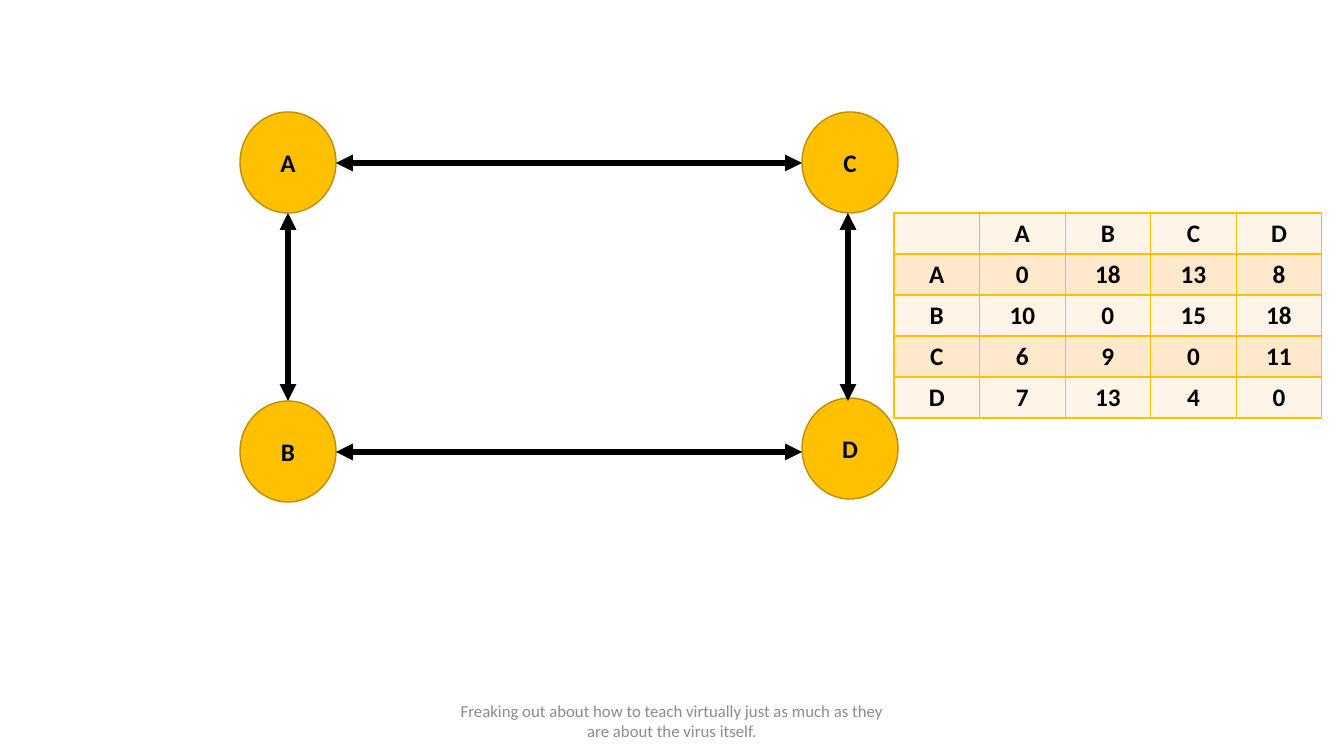
from dataclasses import dataclass

from lxml import etree
from pptx import Presentation
from pptx.dml.color import RGBColor
from pptx.enum.shapes import MSO_CONNECTOR, MSO_SHAPE
from pptx.enum.text import MSO_ANCHOR, PP_ALIGN
from pptx.oxml.ns import qn
from pptx.util import Pt

OVAL = MSO_SHAPE.OVAL
STRAIGHT = MSO_CONNECTOR.STRAIGHT
MIDDLE = MSO_ANCHOR.MIDDLE
CENTER = PP_ALIGN.CENTER

NODES = {"B": (240, 401), "C": (802, 112), "A": (240, 112), "D": (802, 398)}
NODE_SIZE = (96, 101)
LINKS = [
    ((336, 163), (802, 163)),
    ((336, 452), (802, 452)),
    ((288, 213), (288, 401)),
    ((848, 213), (848, 401)),
]
COSTS = [
    ["", "A", "B", "C", "D"],
    ["A", "0", "18", "13", "8"],
    ["B", "10", "0", "15", "18"],
    ["C", "6", "9", "0", "11"],
    ["D", "7", "13", "4", "0"],
]
COSTS_AT = (894, 213)
COSTS_WIDTH = 428
ROW_HEIGHT = 41
FOOTER = "Freaking out about how to teach virtually just as much as they are about the virus itself."
FOOTER_BOX = (445, 701, 454, 40)
SLIDE_SIZE = (1344, 756)


@dataclass(frozen=True)
class Theme:
    font: str = "Calibri"
    ink: str = "000000"
    muted: str = "8C8C8C"
    gold: str = "FFC000"
    gold_edge: str = "BD8E00"
    bands: tuple = ("FFF4E7", "FFE8CC")
    label_size: int = 18
    footer_size: int = 12
    edge_width: int = 1
    link_width: int = 4


THEME = Theme()
LABEL = {"name": THEME.font, "size": Pt(THEME.label_size), "bold": True}
SMALL = {"name": THEME.font, "size": Pt(THEME.footer_size), "bold": False}


def px(value):
    return round(value * 914400 / 100.8)


def paint(fill, color):
    fill.solid()
    fill.fore_color.rgb = RGBColor.from_string(color)


def write(frame, words, style, color):
    frame.word_wrap = True
    frame.vertical_anchor = MIDDLE
    line = frame.paragraphs[0]
    line.alignment = CENTER
    run = line.add_run()
    run.text = words
    for key, value in style.items():
        setattr(run.font, key, value)
    run.font.color.rgb = RGBColor.from_string(color)


def add_node(slide, name, corner):
    node = slide.shapes.add_shape(OVAL, *map(px, corner + NODE_SIZE))
    node.shadow.inherit = False
    paint(node.fill, THEME.gold)
    paint(node.line.fill, THEME.gold_edge)
    node.line.width = Pt(THEME.edge_width)
    write(node.text_frame, name, LABEL, THEME.ink)


def add_link(slide, start, end):
    link = slide.shapes.add_connector(STRAIGHT, *map(px, start + end))
    paint(link.line.fill, THEME.ink)
    link.line.width = Pt(THEME.link_width)
    outline = link.line._get_or_add_ln()
    for tip in ("a:headEnd", "a:tailEnd"):
        etree.SubElement(outline, qn(tip), type="triangle")
    etree.SubElement(link._element.spPr, qn("a:effectLst"))


def add_borders(cell):
    properties = cell._tc.get_or_add_tcPr()
    for index, side in enumerate(("a:lnL", "a:lnR", "a:lnT", "a:lnB")):
        border = etree.Element(qn(side), w=str(Pt(THEME.edge_width)))
        solid = etree.SubElement(border, qn("a:solidFill"))
        etree.SubElement(solid, qn("a:srgbClr"), val=THEME.gold)
        properties.insert(index, border)


def add_costs(slide):
    rows, columns = len(COSTS), len(COSTS[0])
    box = COSTS_AT + (COSTS_WIDTH, ROW_HEIGHT * rows)
    costs = slide.shapes.add_table(rows, columns, *map(px, box)).table
    for row, values in enumerate(COSTS):
        for column, value in enumerate(values):
            cell = costs.cell(row, column)
            paint(cell.fill, THEME.bands[row % 2])
            add_borders(cell)
            if value:
                write(cell.text_frame, value, LABEL, THEME.ink)


def main():
    deck = Presentation()
    deck.slide_width, deck.slide_height = map(px, SLIDE_SIZE)
    slide = deck.slides.add_slide(deck.slide_layouts[6])
    footer = slide.shapes.add_textbox(*map(px, FOOTER_BOX))
    write(footer.text_frame, FOOTER, SMALL, THEME.muted)
    for name, corner in NODES.items():
        add_node(slide, name, corner)
    for start, end in LINKS:
        add_link(slide, start, end)
    add_costs(slide)
    deck.save("out.pptx")


if __name__ == "__main__":
    main()
